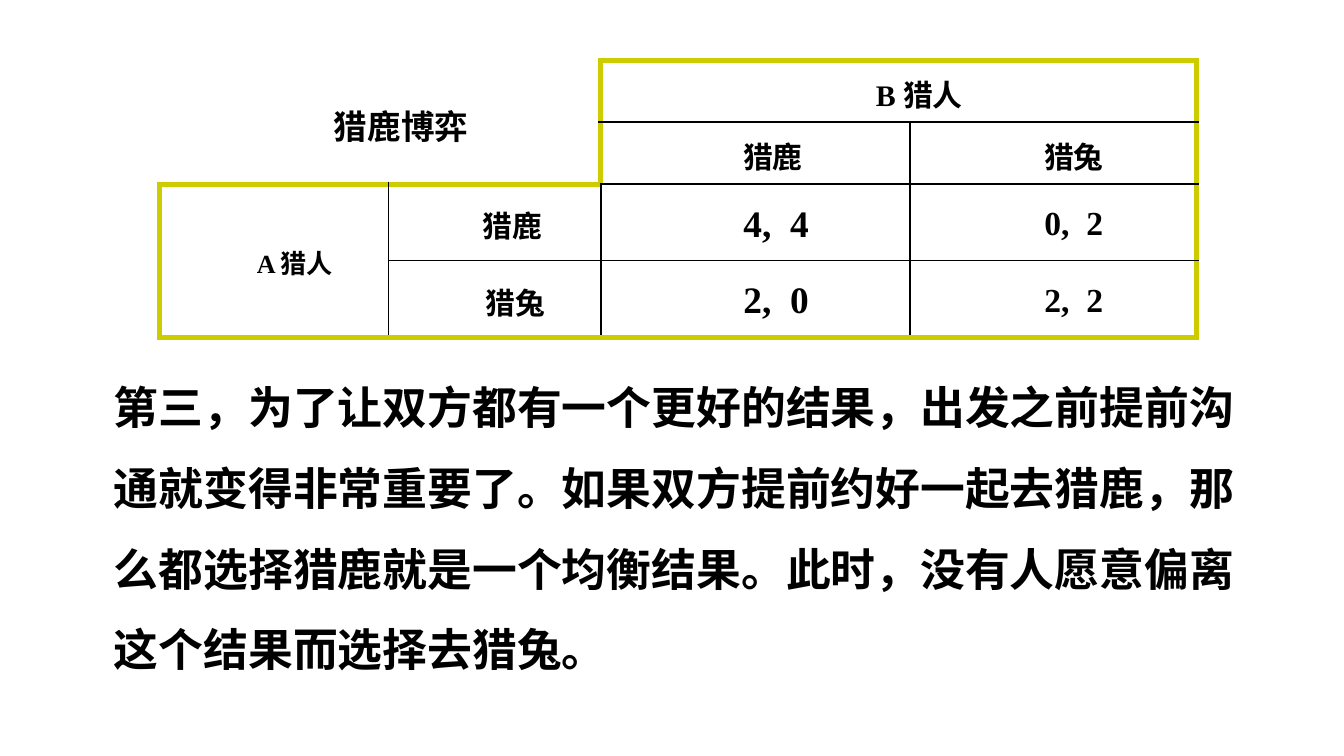
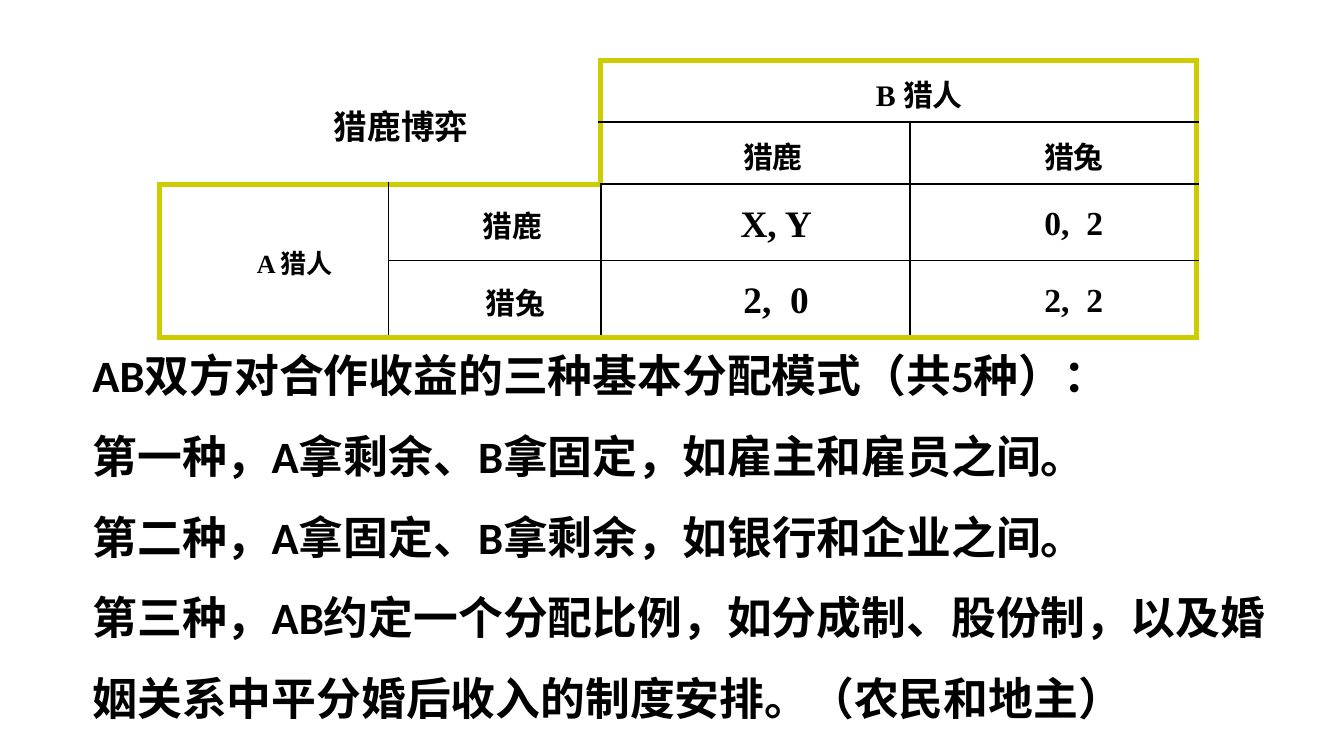
from lxml.etree import SubElement
from pptx import Presentation
from pptx.dml.color import RGBColor
from pptx.enum.text import MSO_ANCHOR, MSO_AUTO_SIZE, PP_ALIGN
from pptx.oxml.ns import qn
from pptx.util import Inches, Pt

BLACK = RGBColor(0x00, 0x00, 0x00)
GOLD = RGBColor(0xCC, 0xCC, 0x00)
COLS = [1.7, 1.58, 2.3, 2.13]
ROWS = [0.46, 0.46, 0.57, 0.57]

# row, column, height, width, text, size
HEADS = [
    (0, 0, 2, 2, "猎鹿博弈", 18),
    (0, 2, 1, 2, "B 猎人", 16),
    (1, 2, 1, 1, "猎鹿 ", 16),
    (1, 3, 1, 1, "猎兔", 16),
    (2, 0, 2, 1, "A 猎人", 14),
    (2, 1, 1, 1, "猎鹿 ", 16),
    (3, 1, 1, 1, "猎兔", 16),
]
SLIDES = [
    ("4,  4", (0.75, 2.58, 8.66, 2.46), [
        "第三，为了让双方都有一个更好的结果，出发之前提前沟通就变得非常重要了。"
        "如果双方提前约好一起去猎鹿，那么都选择猎鹿就是一个均衡结果。"
        "此时，没有人愿意偏离这个结果而选择去猎兔。",
    ]),
    ("X, Y", (0.59, 2.34, 9.06, 3.13), [
        "AB双方对合作收益的三种基本分配模式（共5种）：",
        "第一种，A拿剩余、B拿固定，如雇主和雇员之间。",
        "第二种，A拿固定、B拿剩余，如银行和企业之间。",
        "第三种，AB约定一个分配比例，如分成制、股份制，"
        "以及婚姻关系中平分婚后收入的制度安排。（农民和地主）",
    ]),
]


def write(frame, lines, font="Calibri", size=24, space=1.5, align=None, indent=0):
    frame.word_wrap = True
    for i, line in enumerate(lines):
        para = frame.paragraphs[0] if i == 0 else frame.add_paragraph()
        para.line_spacing = space
        para.alignment = align
        if indent:
            props = para._p.get_or_add_pPr()
            props.set("marL", str(Inches(indent)))
            props.set("indent", "0")
        run = para.add_run()
        run.text = line
        run.font.name = font
        run.font.size = Pt(size)
        run.font.bold = True
        run.font.color.rgb = BLACK


def edge(cell, side, color, width):
    """Draw one border of a cell, or clear it when color is None."""
    line = SubElement(cell._tc.get_or_add_tcPr(), qn("a:ln" + side), w=str(Pt(width)))
    if color is None:
        SubElement(line, qn("a:noFill"))
    else:
        fill = SubElement(line, qn("a:solidFill"))
        SubElement(fill, qn("a:srgbClr"), val=str(color))


deck = Presentation()
deck.slide_width = Inches(10)
deck.slide_height = Inches(10 * 9 / 16)

for payoff, place, lines in SLIDES:
    slide = deck.slides.add_slide(deck.slide_layouts[6])
    box = slide.shapes.add_textbox(*map(Inches, place))
    write(box.text_frame, lines)
    box.text_frame.auto_size = MSO_AUTO_SIZE.SHAPE_TO_FIT_TEXT

    grid = slide.shapes.add_table(
        4, 4, Inches(1.19), Inches(0.45), Inches(sum(COLS)), Inches(sum(ROWS))).table
    grid.first_row = grid.horz_banding = False
    for col, width in zip(grid.columns, COLS):
        col.width = Inches(width)
    for row, height in zip(grid.rows, ROWS):
        row.height = Inches(height)

    scores = [
        (2, 2, 1, 1, payoff, 20),
        (2, 3, 1, 1, "0,  2", 18),
        (3, 2, 1, 1, "2,  0", 20),
        (3, 3, 1, 1, "2,  2", 18),
    ]
    for top, left, high, wide, text, size in HEADS + scores:
        end, last = top + high, left + wide
        cell = grid.cell(top, left)
        if high * wide > 1:
            cell.merge(grid.cell(end - 1, last - 1))
        write(cell.text_frame, [text], font="Times New Roman", size=size,
              space=1.1, align=PP_ALIGN.CENTER, indent=0.31)
        cell.vertical_anchor = MSO_ANCHOR.MIDDLE
        cell.margin_top = cell.margin_bottom = Inches(0.03)

        # The gold outline steps around the open top left corner.
        corner = top == left == 0
        gold = {
            "L": left == (2 if top < 2 else 0),
            "R": last == 4 or corner,
            "T": top == (2 if left < 2 else 0),
            "B": end == 4 or corner,
        }
        for r in range(top, end):
            for c in range(left, last):
                part = grid.cell(r, c)
                for side, thick in gold.items():
                    if corner and side in "LT":
                        edge(part, side, None, 1)
                    else:
                        edge(part, side, GOLD if thick else BLACK, 3 if thick else 1)
                part.fill.background()

deck.save("out.pptx")
